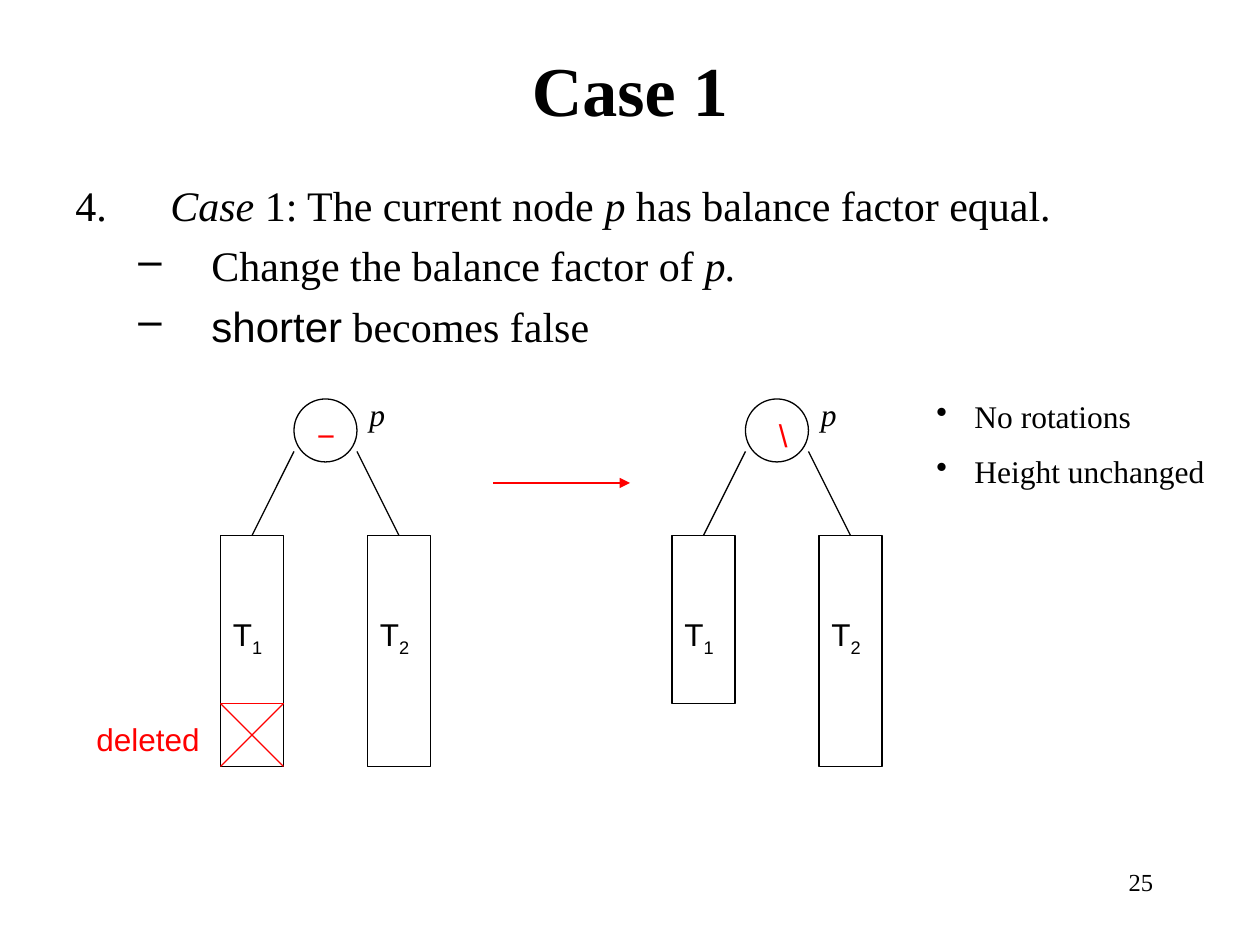
import pptx
import pptx.util
import pptx.dml.color
import pptx.enum.shapes
import pptx.enum.text
import pptx.oxml.ns
from lxml import etree

COLORS = {"ink": "000000", "accent": "FF0000"}
SERIF, SANS = "Times New Roman", "Arial"
GRID = 12  # grid steps to the inch
TREE_SHIFT = 43  # steps from the first tree to the second
SHAPES = pptx.enum.shapes.MSO_SHAPE
ALIGN = pptx.enum.text.PP_ALIGN


def steps(*values):
    return [pptx.util.Inches(value / GRID) for value in values]


def rgb(color):
    return pptx.dml.color.RGBColor.from_string(COLORS[color])


def add_element(parent, tag, **attributes):
    element = etree.SubElement(parent, pptx.oxml.ns.qn(tag))
    for key, value in attributes.items():
        element.set(key, value)
    return element


def style_font(font, size, face=SERIF, color="ink", italic=False, bold=False):
    font.size = pptx.util.Pt(size)
    font.name = face
    font.color.rgb = rgb(color)
    font.italic = italic
    font.bold = bold


def write_runs(paragraph, pieces, size, face=SERIF, color="ink"):
    """Each piece is (text, mark); mark is '', 'italic', 'sans' or 'sub'."""
    for text, mark in pieces:
        run = paragraph.add_run()
        run.text = text
        style_font(run.font, size, SANS if mark == "sans" else face, color, mark == "italic")
        if mark == "sub":
            run._r.get_or_add_rPr().set("baseline", "-25000")


def add_text(slide, box, pieces=(), size=18, face=SERIF, color="ink"):
    frame = slide.shapes.add_textbox(*steps(*box)).text_frame
    frame.word_wrap = True
    write_runs(frame.paragraphs[0], pieces, size, face, color)
    return frame


def add_list(slide, box, items, size, gap):
    """Each item is (level, margin, hang, bullet tag, bullet attributes, pieces)."""
    frame = add_text(slide, box)
    for index, (level, margin, hang, tag, bullet, pieces) in enumerate(items):
        paragraph = frame.add_paragraph() if index else frame.paragraphs[0]
        paragraph.level = level
        if index:
            paragraph.space_before = pptx.util.Pt(gap)
        properties = paragraph._p.get_or_add_pPr()
        properties.set("marL", str(pptx.util.Inches(margin)))
        properties.set("indent", str(-pptx.util.Inches(hang)))
        add_element(properties, tag, **bullet)
        write_runs(paragraph, pieces, size)


def add_outline(slide, kind, box):
    shape = slide.shapes.add_shape(kind, *steps(*box))
    shape.shadow.inherit = False
    shape.fill.background()
    shape.line.color.rgb = rgb("ink")
    shape.line.width = pptx.util.Pt(0.75)


def add_line(slide, start, end, color="ink", arrow=False):
    line = slide.shapes.add_connector(
        pptx.enum.shapes.MSO_CONNECTOR.STRAIGHT, *steps(*start, *end))
    line.line.color.rgb = rgb(color)
    line.line.width = pptx.util.Pt(0.75)
    if arrow:
        add_element(line.line._get_or_add_ln(), "a:tailEnd", type="triangle")
    add_element(line._element.spPr, "a:effectLst")


def add_tree(slide, left, balance, balance_offset, first_height):
    # Node with its balance factor
    add_outline(slide, SHAPES.OVAL, (left + 7, 38, 6, 6))
    add_text(slide, (left + balance_offset, 39, 5, 4.8), [(balance, "")],
             face=SANS, color="accent")
    add_text(slide, (left + 13, 37, 7, 4.8), [("p", "italic")])
    # Subtrees: offset, height, start of the branch, index
    for offset, height, branch, index in ((0, first_height, 7, "1"), (14, 22, 13, "2")):
        add_outline(slide, SHAPES.RECTANGLE, (left + offset, 51, 6, height))
        add_line(slide, (left + branch, 43), (left + offset + 3, 51))
        add_text(slide, (left + offset, 58, 6, 4.8), [("T", ""), (index, "sub")], face=SANS)


def add_title(slide, text):
    title = slide.shapes.title
    title.left, title.top, title.width, title.height = steps(9, 5, 102, 6.8)
    frame = title.text_frame
    frame.text = text
    frame.auto_size = pptx.enum.text.MSO_AUTO_SIZE.NONE
    frame.vertical_anchor = pptx.enum.text.MSO_ANCHOR.MIDDLE
    frame.paragraphs[0].alignment = ALIGN.CENTER
    style_font(frame.paragraphs[0].runs[0].font, 40, bold=True)


def main():
    deck = pptx.Presentation()
    deck.slide_width, deck.slide_height = steps(120, 90)
    slide = deck.slides.add_slide(deck.slide_layouts[5])
    add_title(slide, "Case 1")

    # Step of the algorithm
    number = (0, 0.67, 0.67, "a:buAutoNum", {"type": "arabicPeriod", "startAt": "4"})
    dash = (1, 1.08, 0.58, "a:buChar", {"char": "–"})
    add_list(slide, (6, 16.5, 108, 19), [
        (*number, [(" ", ""), ("Case ", "italic"), ("1: The current node ", ""),
                   ("p", "italic"), (" has balance factor equal.", "")]),
        (*dash, [("Change the balance factor of ", ""), ("p.", "italic")]),
        (*dash, [("shorter", "sans"), (" becomes false", "")]),
    ], size=24, gap=5.75)

    # Trees before and after the deletion
    before = 21
    add_tree(slide, before, "−", balance_offset=8, first_height=22)
    add_tree(slide, before + TREE_SHIFT, "\\", balance_offset=9, first_height=16)
    add_line(slide, (47, 46), (60, 46), "accent", arrow=True)

    # Deleted part of the first subtree
    right, top, bottom = before + 6, 67, 73
    for start, end in (((before, top), (right, top)),
                       ((before, top), (right, bottom)),
                       ((right, top), (before, bottom))):
        add_line(slide, start, end, "accent")
    add_text(slide, (8, 68, 14, 4.8), [("deleted", "")], face=SANS, color="accent")

    # Outcome
    dot = (0, 0.24, 0.24, "a:buChar", {"char": "•"})
    add_list(slide, (88, 37.25, 29, 10.2), [
        (*dot, [(" No rotations", "")]),
        (*dot, [(" Height unchanged", "")]),
    ], size=18, gap=9.5)

    # Slide number
    page = add_text(slide, (86, 82, 25, 6), [("25", "")], size=14)
    page.paragraphs[0].alignment = ALIGN.RIGHT

    deck.save("out.pptx")


if __name__ == "__main__":
    main()
